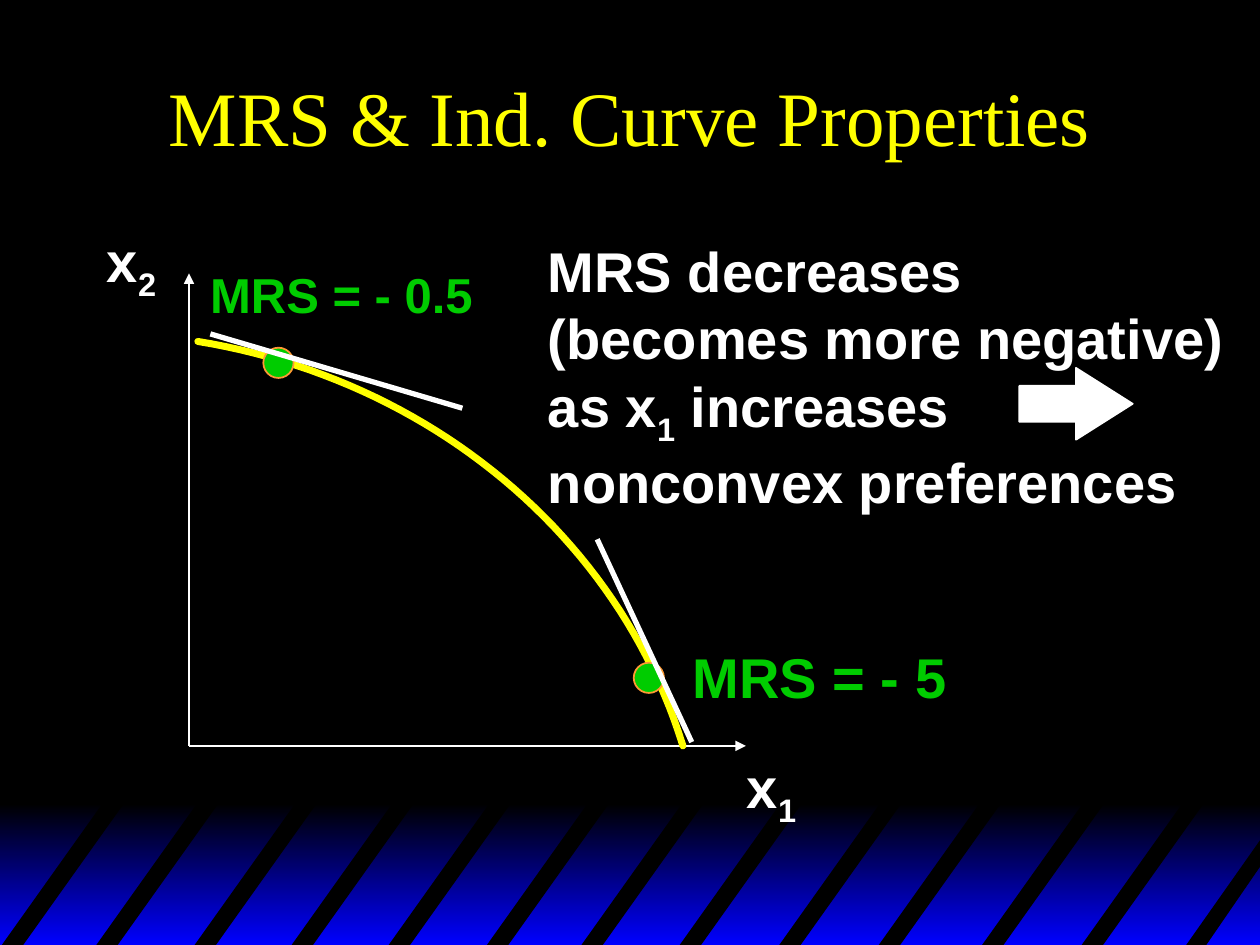
from lxml import etree
from pptx import Presentation
from pptx.dml.color import RGBColor
from pptx.enum.shapes import MSO_CONNECTOR, MSO_SHAPE
from pptx.enum.text import MSO_ANCHOR, PP_ALIGN
from pptx.oxml.ns import qn
from pptx.util import Inches, Pt

RECTANGLE, OVAL, RIGHT_ARROW = MSO_SHAPE.RECTANGLE, MSO_SHAPE.OVAL, MSO_SHAPE.RIGHT_ARROW
STRAIGHT = MSO_CONNECTOR.STRAIGHT
CENTER, MIDDLE = PP_ALIGN.CENTER, MSO_ANCHOR.MIDDLE
TITLE_ONLY = 5

BLACK, WHITE, BLUE = "000000", "FFFFFF", "0000FF"
YELLOW, GREEN, ORANGE = "FFFF00", "00CC00", "FF9933"

STRIPE_LEFTS = [0, 0.75, 1.53, 2.3, 3.07, 3.85, 4.6, 5.38, 6.17, 6.96, 7.78, 8.57]
STRIPE_TOP, STRIPE_BOTTOM = 6.34, 7.52
STRIPE_WIDTH, STRIPE_SLANT = 0.17, 0.84
PAGE_WIDTH, PAGE_HEIGHT = 10, 7.5
BAND_WIDTH = 10.02
ORIGIN = (1.5, 5.92)
DOT_SIZE = 0.24


def color(hex_string):
    return RGBColor.from_string(hex_string)


def bezier_points(start, control_1, control_2, end, steps=48):
    """Points along a cubic curve, both ends included."""
    points = []
    for step in range(steps + 1):
        t = step / steps
        weights = ((1 - t) ** 3, 3 * t * (1 - t) ** 2, 3 * t * t * (1 - t), t ** 3)
        corners = (start, control_1, control_2, end)
        points.append(tuple(sum(w * corner[axis] for w, corner in zip(weights, corners))
                            for axis in (0, 1)))
    return points


class SlideBuilder:
    """Holds the text style and the slide being filled."""

    font = "Arial"
    title_font = "Times New Roman"

    def __init__(self, page):
        self.page = page
        background = page.background.fill
        background.solid()
        background.fore_color.rgb = color(BLACK)

    def title(self, text, left, top, width, height):
        box = self.page.shapes.title
        box.left, box.top = Inches(left), Inches(top)
        box.width, box.height = Inches(width), Inches(height)
        box.text_frame.text = text
        box.text_frame.vertical_anchor = MIDDLE
        para = box.text_frame.paragraphs[0]
        para.alignment = CENTER
        font = para.runs[0].font
        font.name, font.size = self.title_font, Pt(44)
        font.color.rgb = color(YELLOW)

    def text(self, pieces, left, top, width, height, size=32, ink=WHITE, wrap=True):
        """Add a text box; every second piece is a subscript."""
        box = self.page.shapes.add_textbox(Inches(left), Inches(top),
                                           Inches(width), Inches(height))
        box.text_frame.word_wrap = wrap
        para = box.text_frame.paragraphs[0]
        for index, piece in enumerate(pieces):
            for number, line in enumerate(piece.split("\n")):
                if number:
                    para.add_line_break()
                span = para.add_run()
                span.text = line
                span.font.name, span.font.size, span.font.bold = self.font, Pt(size), True
                span.font.color.rgb = color(ink)
                if index % 2:
                    span.font._element.set("baseline", "-25000")

    def shape(self, kind, left, top, width, height, fill, outline):
        shape = self.page.shapes.add_shape(kind, Inches(left), Inches(top),
                                           Inches(width), Inches(height))
        shape.shadow.inherit = False
        shape.fill.solid()
        shape.fill.fore_color.rgb = color(fill)
        shape.line.color.rgb = color(outline)
        shape.line.width = Pt(1)
        return shape

    def gradient_band(self, left, top, width, height, start, end):
        band = self.shape(RECTANGLE, left, top, width, height, start, start)
        band.line.fill.background()
        band.fill.gradient()
        band.fill.gradient_angle = 270
        for stop, shade in zip(band.fill.gradient_stops, (start, end)):
            stop.color.rgb = color(shade)

    def outline(self, points, closed):
        first, *others = [(Inches(x), Inches(y)) for x, y in points]
        builder = self.page.shapes.build_freeform(*first)
        builder.add_line_segments(others, close=closed)
        shape = builder.convert_to_shape()
        shape.shadow.inherit = False
        return shape

    def polygon(self, points, fill):
        shape = self.outline(points, closed=True)
        shape.fill.solid()
        shape.fill.fore_color.rgb = color(fill)
        shape.line.fill.background()

    def curve(self, points, ink, width):
        shape = self.outline(points, closed=False)
        shape.fill.background()
        shape.line.color.rgb = color(ink)
        shape.line.width = Pt(width)
        shape.line._ln.set("cap", "rnd")

    def line(self, start, end, width, arrow=False):
        line = self.page.shapes.add_connector(STRAIGHT, *map(Inches, start + end))
        line.line.color.rgb = color(WHITE)
        line.line.width = Pt(width)
        properties = line._element.spPr
        if arrow:
            etree.SubElement(properties.find(qn("a:ln")), qn("a:tailEnd"), type="triangle")
        etree.SubElement(properties, qn("a:effectLst"))


def draw_footer(builder):
    builder.gradient_band(0, 6.38, BAND_WIDTH, 1.12, BLACK, BLUE)
    for left in STRIPE_LEFTS:
        top_left = left + STRIPE_SLANT
        builder.polygon([(left, STRIPE_BOTTOM), (top_left, STRIPE_TOP),
                         (top_left + STRIPE_WIDTH, STRIPE_TOP),
                         (left + STRIPE_WIDTH, STRIPE_BOTTOM)], BLACK)
    builder.polygon([(9.4, STRIPE_BOTTOM), (BAND_WIDTH, 6.64),
                     (BAND_WIDTH, 6.85), (9.56, STRIPE_BOTTOM)], BLACK)


def draw_graph(builder):
    for tip in ((1.5, 2.17), (5.92, 5.92)):
        builder.line(ORIGIN, tip, 1, arrow=True)
    builder.curve(bezier_points((1.57, 2.71), (3.41, 3.01), (4.91, 4.26), (5.42, 5.92)),
                  YELLOW, 4)
    for left, top in ((5.03, 5.26), (2.09, 2.76)):
        builder.shape(OVAL, left, top, DOT_SIZE, DOT_SIZE, GREEN, ORANGE)
    builder.text(["x", "1"], 5.83, 5.92, 0.75, 0.71)
    builder.text(["x", "2"], 0.75, 1.75, 0.75, 0.71)
    for start, end in (((1.67, 2.65), (3.67, 3.24)), ((4.74, 4.28), (5.49, 5.89))):
        builder.line(start, end, 3)
    builder.text(["MRS = - 0.5"], 1.57, 2.05, 2.29, 0.57, 28, GREEN, wrap=False)
    builder.text(["MRS = - 5"], 5.4, 5.05, 2.22, 0.63, 32, GREEN, wrap=False)


def main():
    deck = Presentation()
    deck.slide_width, deck.slide_height = Inches(PAGE_WIDTH), Inches(PAGE_HEIGHT)
    builder = SlideBuilder(deck.slides.add_slide(deck.slide_layouts[TITLE_ONLY]))
    draw_footer(builder)
    builder.title("MRS & Ind. Curve Properties", 0.75, 0.25, 8.5, 1.33)
    draw_graph(builder)
    builder.text(["MRS decreases\n(becomes more negative)\nas x", "1",
                  " increases\nnonconvex preferences"], 4.25, 1.83, 5.75, 2.31)
    arrow = builder.shape(RIGHT_ARROW, 8.09, 2.92, 0.9, 0.57, WHITE, WHITE)
    arrow.adjustments[1] = 0.79
    deck.save("out.pptx")


if __name__ == "__main__":
    main()
